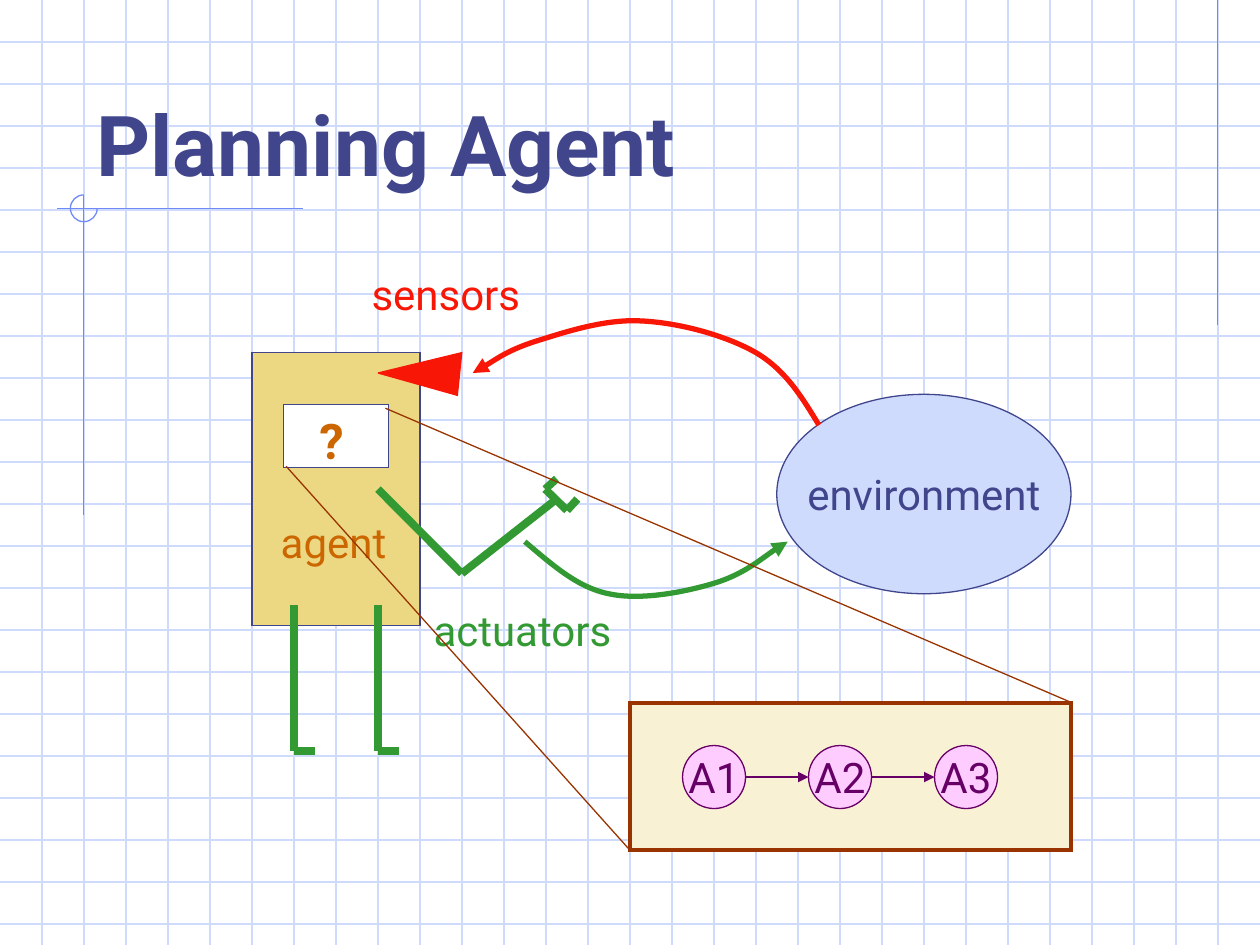
"""Build the Planning Agent slide."""
from dataclasses import dataclass

from lxml.etree import SubElement
from pptx import Presentation
from pptx.dml.color import RGBColor
from pptx.enum.shapes import MSO_CONNECTOR, MSO_SHAPE
from pptx.enum.text import MSO_ANCHOR, MSO_AUTO_SIZE, PP_ALIGN
from pptx.oxml.ns import qn
from pptx.util import Cm, Pt

FONT = "Roboto"
INK = {
    "grid": "CFDBFD", "trim": "6F89F7", "navy": "40458C", "red": "F81706",
    "green": "339933", "tan": "ECD882", "orange": "CC6600", "white": "FFFFFF",
    "cream": "F8F1D4", "brown": "993300", "pink": "FFCCFF", "plum": "660066",
}


@dataclass
class Box:
    kind: MSO_SHAPE
    left: float
    top: float
    width: float
    height: float
    fill: str
    edge: str
    weight: float = 0.75
    text: str = ""


@dataclass
class Line:
    x1: float
    y1: float
    x2: float
    y2: float
    ink: str
    weight: float = 0.75
    arrow: bool = False


@dataclass
class Label:
    left: float
    top: float
    width: float
    height: float
    text: str
    ink: str
    size: int = 24
    bold: bool = False


@dataclass
class Curve:
    nodes: list
    ink: str
    weight: float = 3
    arrow: bool = True


def tint(ink: str) -> RGBColor:
    return RGBColor.from_string(INK[ink])


def write(frame, text: str, ink: str, size: int = 24, bold: bool = False,
          align: PP_ALIGN = PP_ALIGN.LEFT) -> None:
    para = frame.paragraphs[0]
    para.alignment = align
    run = para.add_run()
    run.text = text
    run.font.name, run.font.size, run.font.bold = FONT, Pt(size), bold
    run.font.color.rgb = tint(ink)


def stroke(item, ink: str, weight: float, arrow: bool = False) -> None:
    item.line.color.rgb = tint(ink)
    item.line.width = Pt(weight)
    edge = item.line._get_or_add_ln()
    SubElement(edge, qn("a:miter"), lim="800000")
    if arrow:
        SubElement(edge, qn("a:tailEnd"), type="triangle")


def draw_box(shapes, box: Box) -> None:
    item = shapes.add_shape(box.kind, Cm(box.left), Cm(box.top),
                            Cm(box.width), Cm(box.height))
    item.shadow.inherit = False
    item.fill.solid()
    item.fill.fore_color.rgb = tint(box.fill)
    stroke(item, box.edge, box.weight)
    if box.text:
        frame = item.text_frame
        frame.word_wrap = False
        frame.vertical_anchor = MSO_ANCHOR.MIDDLE
        write(frame, box.text, box.edge, align=PP_ALIGN.CENTER)


def draw_line(shapes, line: Line) -> None:
    item = shapes.add_connector(MSO_CONNECTOR.STRAIGHT, Cm(line.x1), Cm(line.y1),
                                Cm(line.x2), Cm(line.y2))
    stroke(item, line.ink, line.weight, line.arrow)
    SubElement(item._element.spPr, qn("a:effectLst"))


def draw_label(shapes, label: Label) -> None:
    item = shapes.add_textbox(Cm(label.left), Cm(label.top),
                              Cm(label.width), Cm(label.height))
    item.text_frame.word_wrap = False
    item.text_frame.auto_size = MSO_AUTO_SIZE.SHAPE_TO_FIT_TEXT
    write(item.text_frame, label.text, label.ink, label.size, label.bold)


def outline(shapes, points: list, close: bool = False):
    start, *rest = [(Cm(x), Cm(y)) for x, y in points]
    pen = shapes.build_freeform(*start)
    pen.add_line_segments(rest, close=close)
    item = pen.convert_to_shape()
    item.shadow.inherit = False
    return item


def draw_curve(shapes, curve: Curve) -> None:
    item = outline(shapes, curve.nodes)
    route = next(item._element.iter(qn("a:moveTo"))).getparent()
    for n, step in enumerate(route.findall(qn("a:lnTo"))):
        if n % 3 == 0:
            bend = SubElement(route, qn("a:cubicBezTo"))
        bend.append(step[0])
        route.remove(step)
    item.fill.background()
    stroke(item, curve.ink, curve.weight, curve.arrow)


def draw_back(shapes, wide: float, high: float) -> None:
    gap = 2.54 / 3
    for n in range(1, 23):
        draw_line(shapes, Line(0, n * gap, wide, n * gap, "grid"))
    for n in range(1, 30):
        draw_line(shapes, Line(n * gap, 0, n * gap, high, "grid"))
    for ends in ((24.55, 0, 24.55, 6.56), (6.1, 4.21, 1.14, 4.21),
                 (1.69, 3.93, 1.69, 10.38)):
        draw_line(shapes, Line(*ends, "trim"))
    ring = [(1.69, 3.93), (1.54, 3.93), (1.42, 4.05), (1.42, 4.2), (1.42, 4.35),
            (1.54, 4.47), (1.69, 4.47), (1.84, 4.47), (1.96, 4.35), (1.96, 4.2)]
    draw_curve(shapes, Curve(ring, "trim", 0.75, False))


def draw_agent(shapes) -> None:
    draw_box(shapes, Box(MSO_SHAPE.OVAL, 15.66, 7.95, 5.93, 4.02, "grid", "navy",
                         text="environment"))
    sense = [(16.51, 8.57), (16.18, 8.03), (15.85, 7.47), (15.24, 7.11),
             (14.63, 6.76), (13.67, 6.5), (12.91, 6.47), (12.17, 6.43),
             (11.35, 6.71), (10.8, 6.88), (10.24, 7.06), (9.73, 7.42), (9.53, 7.52)]
    act = [(10.58, 10.92), (11.13, 11.38), (11.63, 11.84), (12.27, 11.97),
           (12.91, 12.11), (13.79, 11.94), (14.39, 11.76), (14.99, 11.58),
           (15.62, 11.05), (15.88, 10.92)]
    draw_curve(shapes, Curve(sense, "red"))
    draw_curve(shapes, Curve(act, "green"))
    draw_box(shapes, Box(MSO_SHAPE.RECTANGLE, 5.08, 7.11, 3.39, 5.5, "tan", "navy"))
    draw_label(shapes, Label(5.41, 10.29, 2.79, 1.27, "agent", "orange"))
    draw_box(shapes, Box(MSO_SHAPE.RECTANGLE, 5.72, 8.16, 2.12, 1.27, "white", "navy"))
    draw_label(shapes, Label(6.19, 8.16, 0.97, 1.45, "?", "orange", 28, True))
    limbs = [(7.62, 9.86, 9.31, 11.56), (9.31, 11.56, 11.22, 10.06),
             (10.99, 9.86, 11.43, 10.29), (10.99, 9.86, 11.22, 9.65),
             (11.43, 10.29, 11.64, 10.06)]
    for x in (5.93, 7.62):
        limbs += [(x, 15.14, x, 12.19), (x, 15.14, x + 0.42, 15.14)]
    for limb in limbs:
        draw_line(shapes, Line(*limb, "green", 4.5))
    eye = outline(shapes, [(7.62, 7.52), (9.31, 7.11), (9.22, 7.97)], True)
    eye.fill.solid()
    eye.fill.fore_color.rgb = tint("red")
    stroke(eye, "red", 0.75)
    draw_label(shapes, Label(7.24, 5.28, 3.58, 1.27, "sensors", "red"))
    draw_label(shapes, Label(8.49, 12.07, 4.27, 1.27, "actuators", "green"))


def draw_plan(shapes) -> None:
    draw_box(shapes, Box(MSO_SHAPE.RECTANGLE, 12.7, 14.18, 8.89, 2.96,
                         "cream", "brown", 2.25))
    draw_line(shapes, Line(5.77, 9.4, 12.7, 17.14, "brown"))
    draw_line(shapes, Line(7.77, 8.23, 21.57, 14.15, "brown"))
    left, top, size, pitch = 13.76, 15.03, 1.27, 2.54
    for n in range(3):
        draw_box(shapes, Box(MSO_SHAPE.OVAL, left + n * pitch, top, size, size,
                             "pink", "plum", text=f"A{n + 1}"))
    mid = top + size / 2
    for n in range(2):
        x = left + n * pitch
        draw_line(shapes, Line(x + size, mid, x + pitch, mid, "plum", arrow=True))


def main() -> None:
    deck = Presentation()
    deck.slide_width, deck.slide_height = Cm(25.4), Cm(19.05)
    slide = deck.slides.add_slide(deck.slide_layouts[5])
    shapes = slide.shapes
    draw_back(shapes, 25.4, 19.05)
    title = shapes.title
    shapes._spTree.append(title._element)
    title.left, title.top, title.width, title.height = map(Cm, (1.69, 0.85, 21.59, 3.18))
    title.text_frame.vertical_anchor = MSO_ANCHOR.BOTTOM
    write(title.text_frame, "Planning Agent", "navy", 48, True)
    draw_agent(shapes)
    draw_plan(shapes)
    deck.save("out.pptx")


if __name__ == "__main__":
    main()
